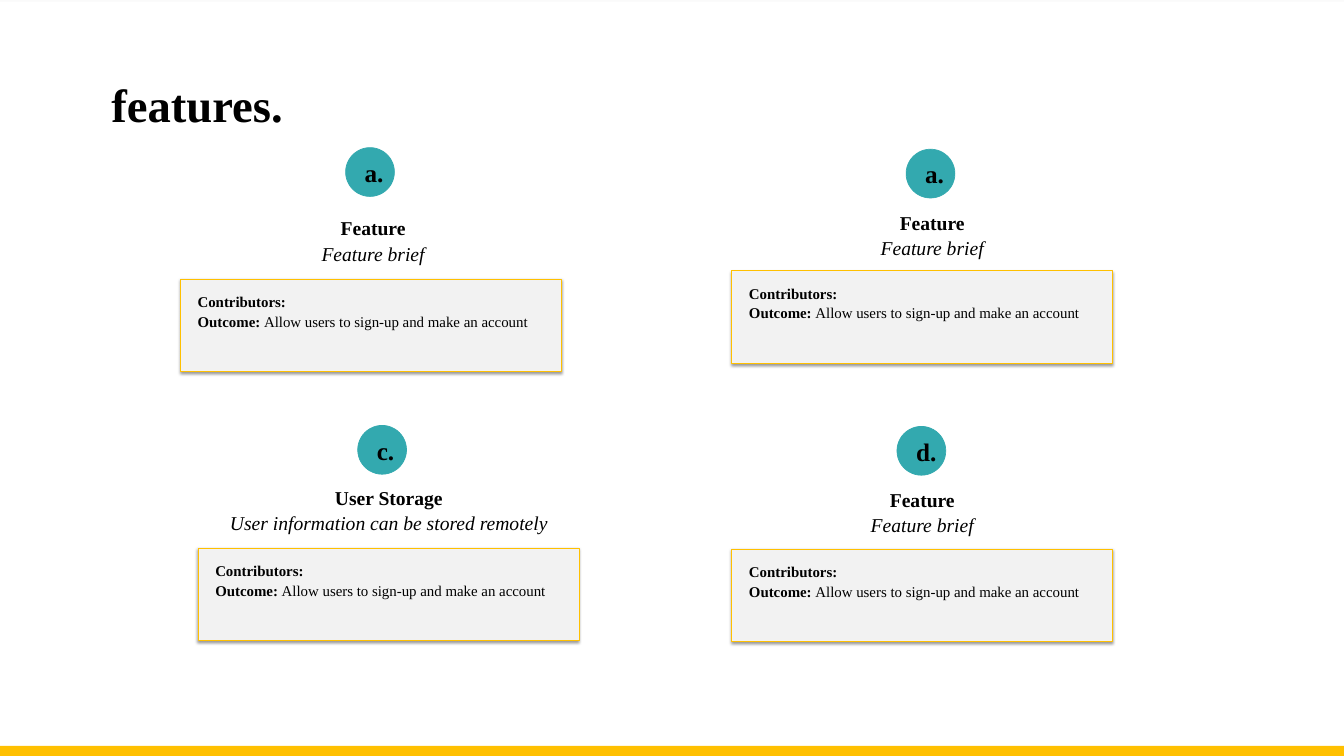
from typing import NamedTuple

from lxml import etree
from pptx import Presentation
from pptx import util as u
from pptx.dml.color import RGBColor
from pptx.enum import shapes, text
from pptx.oxml import ns

BLACK = RGBColor(0x00, 0x00, 0x00)
WHITE = RGBColor(0xFF, 0xFF, 0xFF)
PAPER = RGBColor(0xFA, 0xFA, 0xFA)
GREY = RGBColor(0xF2, 0xF2, 0xF2)
GOLD = RGBColor(0xFF, 0xC0, 0x00)
TEAL = RGBColor(0x33, 0xA9, 0xAF)
FONT = "Times New Roman"
RECT, OVAL = shapes.MSO_SHAPE.RECTANGLE, shapes.MSO_SHAPE.OVAL
LEFT, CENTER, JUSTIFY = text.PP_ALIGN.LEFT, text.PP_ALIGN.CENTER, text.PP_ALIGN.JUSTIFY

SLIDE_W, SLIDE_H = 67.74, 38.1
CARD_W, CARD_H = 19.2, 4.67
BADGE_SIZE = 2.46


class Run(NamedTuple):
    text: str
    bold: bool = False
    italic: bool = False


class Box(NamedTuple):
    """Left, top, width and height in centimetres."""
    x: float
    y: float
    w: float
    h: float


class Feature(NamedTuple):
    letter: str
    name: str
    brief: str
    heading: Box
    card: tuple[float, float]
    badge: tuple[float, float]


FEATURES = [
    Feature("a.", "Feature", "Feature brief",
            Box(2.41, 10.69, 32.79, 7.44), (9.09, 14.05), (17.42, 7.44)),
    Feature("a.", "Feature", "Feature brief",
            Box(32.28, 10.41, 29.41, 5.05), (36.88, 13.64), (45.67, 7.52)),
    Feature("c.", "User Storage", "User information can be stored remotely",
            Box(5.61, 24.28, 27.97, 4.47), (9.98, 27.61), (18.03, 21.44)),
    Feature("d.", "Feature", "Feature brief",
            Box(31.78, 24.38, 29.41, 3.84), (36.88, 27.66), (45.21, 21.49)),
]
CARD_TEXT = [
    [Run("Contributors:", bold=True)],
    [Run("Outcome: ", bold=True), Run("Allow users to sign-up and make an account")],
]


def add_shape(parent, kind, box: Box, fill: RGBColor, line: RGBColor | None = None,
              width: float = 1):
    s = parent.add_shape(kind, *map(u.Cm, box))
    s.shadow.inherit = False
    s.fill.solid()
    s.fill.fore_color.rgb = fill
    if line is None:
        s.line.fill.background()
    else:
        s.line.color.rgb = line
        s.line.width = u.Pt(width)
    return s


def add_text(parent, box: Box, lines: list[list[Run]], *, size: float,
             align=LEFT, inset: float = 0.25) -> None:
    """Add a text box with one paragraph per list of runs."""
    tf = parent.add_textbox(*map(u.Cm, box)).text_frame
    tf.word_wrap = True
    tf.margin_left = u.Cm(inset)
    for i, runs in enumerate(lines):
        p = tf.paragraphs[0] if i == 0 else tf.add_paragraph()
        p.alignment = align
        p.line_spacing = 1.07
        for run in runs:
            r = p.add_run()
            r.text = run.text
            r.font.name = FONT
            r.font.size = u.Pt(size)
            r.font.bold = run.bold
            r.font.italic = run.italic
            r.font.color.rgb = BLACK


def drop_shadow(s) -> None:
    """Give the shape a soft shadow straight below it."""
    effects = s._element.spPr.find(ns.qn("a:effectLst"))
    shadow = etree.SubElement(effects, ns.qn("a:outerShdw"), blurRad=str(u.Pt(4)),
                              dist=str(u.Pt(3)), dir="5400000", rotWithShape="0")
    color = etree.SubElement(shadow, ns.qn("a:srgbClr"), val=str(BLACK))
    etree.SubElement(color, ns.qn("a:alpha"), val="40000")


def add_heading(parent, f: Feature) -> None:
    lines = [[Run(f.name, bold=True)], [Run(f.brief, italic=True)]]
    add_text(parent, f.heading, lines, size=28, align=CENTER)


def add_card(parent, x: float, y: float) -> None:
    group = parent.add_group_shape().shapes
    drop_shadow(add_shape(group, RECT, Box(x, y, CARD_W, CARD_H), GREY, GOLD, 0.75))
    add_text(group, Box(x + 0.62, y + 0.53, 18.24, 2.34), CARD_TEXT,
             size=21.3, align=JUSTIFY)


def add_badge(parent, x: float, y: float, letter: str) -> None:
    group = parent.add_group_shape().shapes
    add_shape(group, OVAL, Box(x, y, BADGE_SIZE, BADGE_SIZE), TEAL, TEAL)
    add_text(group, Box(x + 0.39, y + 0.25, 3.94, 1.8), [[Run(letter, bold=True)]],
             size=36, inset=0.57)


def main() -> None:
    prs = Presentation()
    prs.slide_width, prs.slide_height = u.Cm(SLIDE_W), u.Cm(SLIDE_H)
    slide = prs.slides.add_slide(prs.slide_layouts[6])
    slide.background.fill.solid()
    slide.background.fill.fore_color.rgb = PAPER

    add_shape(slide.shapes, RECT, Box(0, 0.08, SLIDE_W, 37.57), WHITE)
    add_text(slide.shapes, Box(5.36, 3.48, 19.18, 3.07),
             [[Run("features.", bold=True)]], size=66.7)
    for f in FEATURES:
        add_heading(slide.shapes, f)
        add_card(slide.shapes, *f.card)
        add_badge(slide.shapes, *f.badge, f.letter)
    add_shape(slide.shapes, RECT, Box(0, 37.59, SLIDE_W, 0.64), GOLD, GOLD)

    prs.save("out.pptx")


if __name__ == "__main__":
    main()
